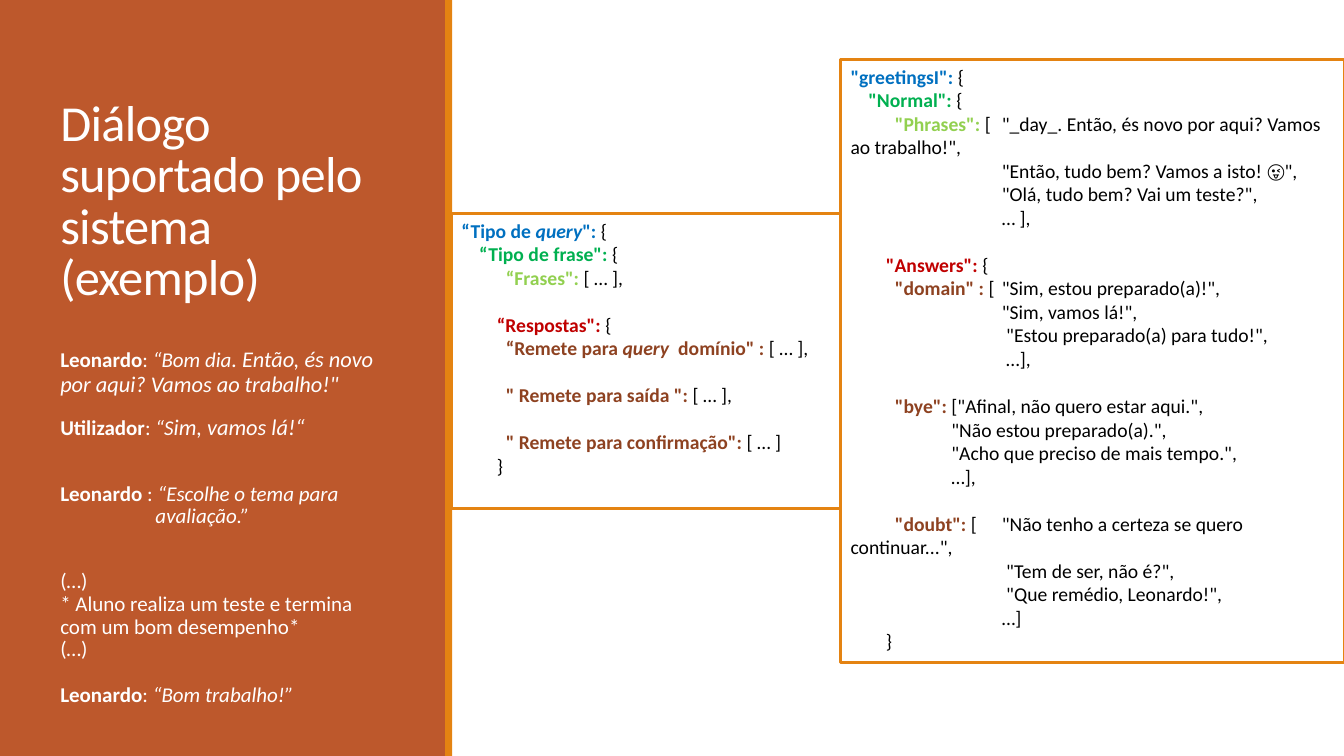
from dataclasses import dataclass

from pptx import Presentation
from pptx.dml.color import RGBColor
from pptx.enum.shapes import MSO_SHAPE
from pptx.enum.text import MSO_ANCHOR, MSO_AUTO_SIZE, PP_ALIGN
from pptx.oxml.ns import qn
from pptx.util import Pt
from lxml import etree

RECTANGLE = MSO_SHAPE.RECTANGLE
TOP, BOTTOM = MSO_ANCHOR.TOP, MSO_ANCHOR.BOTTOM
LEFT = PP_ALIGN.LEFT
NO_AUTO_SIZE = MSO_AUTO_SIZE.NONE

FONT = "Calibri"
WHITE, BLACK, RUST, ORANGE = "FFFFFF", "000000", "BD582C", "E48312"
BLUE, GREEN, LIME, RED, BROWN = "0070C0", "00B050", "92D050", "C00000", "8E4221"

CODE_SIZE, DIALOGUE_SIZE, TITLE_SIZE = 14, 15, 36
CODE_GAP = 16.8        # one empty line of code
DIALOGUE_LINE = 16.2   # one empty line of dialogue
TURN_GAP = 14          # between two turns of the dialogue
LEVEL_1, LEVEL_2, LEVEL_3 = 12.7, 25.3, 31.7
BYE_COLUMN, PHRASE_COLUMN, SHIFTED_COLUMN = 72, 108, 111.2


@dataclass(frozen=True)
class Run:
    """A stretch of text in one format."""
    text: str
    color: str = BLACK
    bold: bool = False
    italic: bool = False
    size: float = CODE_SIZE


@dataclass(frozen=True)
class Line:
    """A paragraph: its runs, indents and the gap above it."""
    runs: tuple[Run, ...]
    first: float = 0
    margin: float = 0
    gap: float = 0
    tab: float = 0


@dataclass(frozen=True)
class Box:
    """A place on the slide."""
    left: float
    top: float
    width: float
    height: float


def rgb(color: str) -> RGBColor:
    """Turn a hex string into a colour."""
    return RGBColor.from_string(color)


def add_rectangle(slide, box: Box, fill: str, outline: str = ""):
    """Draw a flat rectangle, with an outline if a colour is given."""
    shape = slide.shapes.add_shape(
        RECTANGLE, Pt(box.left), Pt(box.top), Pt(box.width), Pt(box.height))
    shape.shadow.inherit = False
    shape.fill.solid()
    shape.fill.fore_color.rgb = rgb(fill)
    if outline:
        shape.line.color.rgb = rgb(outline)
        shape.line.width = Pt(2.25)
    else:
        shape.line.fill.background()
    return shape


def add_text_box(slide, box: Box):
    """Add an empty text box."""
    return slide.shapes.add_textbox(
        Pt(box.left), Pt(box.top), Pt(box.width), Pt(box.height))


def write_lines(shape, lines: list[Line], *, anchor=TOP, spacing: float = 1,
                tracking: float = 0) -> None:
    """Fill a shape with formatted paragraphs."""
    frame = shape.text_frame
    frame.word_wrap = True
    frame.auto_size = NO_AUTO_SIZE
    frame.vertical_anchor = anchor
    for index, line in enumerate(lines):
        paragraph = frame.add_paragraph() if index else frame.paragraphs[0]
        paragraph.alignment = LEFT
        paragraph.line_spacing = spacing
        paragraph.space_before = Pt(line.gap)
        paragraph.space_after = Pt(0)
        set_indent(paragraph, line)
        for part in line.runs:
            run = paragraph.add_run()
            run.text = part.text
            font = run.font
            font.name, font.size = FONT, Pt(part.size)
            font.bold, font.italic = part.bold, part.italic
            font.color.rgb = rgb(part.color)
            if tracking:
                run._r.get_or_add_rPr().set("spc", str(round(tracking * 100)))


def set_indent(paragraph, line: Line) -> None:
    """Set the left margin, first-line indent and tab stop of a paragraph."""
    properties = paragraph._p.get_or_add_pPr()
    properties.set("marL", str(Pt(line.margin)))
    properties.set("indent", str(Pt(line.first - line.margin)))
    if line.tab:
        stops = etree.SubElement(properties, qn("a:tabLst"))
        etree.SubElement(stops, qn("a:tab"), pos=str(Pt(line.tab)), algn="l")


def entry(key: str, value: str, color: str, indent: float = 0,
          gap: float = 0, tab: float = 0) -> Line:
    """A code line with a coloured key; text between asterisks is italic."""
    keys = tuple(Run(piece, color, bold=True, italic=number % 2 == 1)
                 for number, piece in enumerate(key.split("*")))
    return Line(keys + (Run(value),), first=indent, gap=gap, tab=tab)


def values(column: float, *texts: str) -> list[Line]:
    """Code lines that hold only values, aligned to a column."""
    return [Line((Run(text),), first=column, margin=column) for text in texts]


def said(text: str, size: float = DIALOGUE_SIZE) -> Run:
    """Words spoken in the dialogue."""
    return Run(text, WHITE, italic=True, size=size)


def turn(speaker: str, colon: str, *words: Run, gap: float = TURN_GAP,
         margin: float = 0) -> Line:
    """A turn of the dialogue, led by the speaker's name."""
    name = Run(speaker, WHITE, bold=True, size=DIALOGUE_SIZE)
    mark = Run(colon, WHITE, size=DIALOGUE_SIZE)
    return Line((name, mark) + words, gap=gap, margin=margin)


def aside(text: str, gap: float = 0) -> Line:
    """A plain remark between turns."""
    return Line((Run(text, WHITE, size=DIALOGUE_SIZE),), gap=gap)


TITLE = [Line((Run("Diálogo suportado pelo sistema (exemplo)", WHITE, size=TITLE_SIZE),))]
DIALOGUE = [
    turn("Leonardo", ": ", said("“Bom dia"),
         said(". Então, és novo por aqui? Vamos ao trabalho!\"", 16), gap=0),
    turn("Utilizador", ": ", said("“S"), said("im, vamos lá!“", 16)),
    turn("Leonardo", " : ", said("“Escolhe o tema para avaliação.”"),
         gap=TURN_GAP + DIALOGUE_LINE, margin=68),
    aside("(…)", gap=TURN_GAP + DIALOGUE_LINE),
    aside("* Aluno realiza um teste e termina com um bom desempenho*"),
    aside("(…)"),
    turn("Leonardo", ": ", said("“Bom trabalho!”"), gap=DIALOGUE_LINE),
]
GREETINGS = [
    entry('"greetingsI": ', "{", BLUE),
    entry('"Normal": ', "{", GREEN, LEVEL_1),
    entry('"Phrases": ', '[\t"_day_. Então, és novo por aqui? Vamos ao trabalho!",',
          LIME, LEVEL_3, tab=PHRASE_COLUMN),
    *values(PHRASE_COLUMN, '"Então, tudo bem? Vamos a isto! 😜",',
            '"Olá, tudo bem? Vai um teste?",', "… ],"),
    entry('"Answers": ', "{", RED, LEVEL_2, CODE_GAP),
    entry('"domain" : ', '[\t"Sim, estou preparado(a)!",', BROWN, LEVEL_3,
          tab=PHRASE_COLUMN),
    *values(PHRASE_COLUMN, '"Sim, vamos lá!",'),
    *values(SHIFTED_COLUMN, '"Estou preparado(a) para tudo!",', "…],"),
    entry('"bye": ', '["Afinal, não quero estar aqui.",', BROWN, LEVEL_3, CODE_GAP),
    *values(BYE_COLUMN, '"Não estou preparado(a).",',
            '"Acho que preciso de mais tempo.",', "…],"),
    entry('"doubt": ', '[\t"Não tenho a certeza se quero continuar...",', BROWN,
          LEVEL_3, CODE_GAP, PHRASE_COLUMN),
    *values(SHIFTED_COLUMN, '"Tem de ser, não é?",', '"Que remédio, Leonardo!",'),
    *values(PHRASE_COLUMN, "…]"),
    *values(LEVEL_2, "}"),
]
SCHEMA = [
    entry('“Tipo de *query*": ', "{", BLUE),
    entry('“Tipo de frase": ', "{", GREEN, LEVEL_1),
    entry('“Frases": ', "[ … ],", LIME, LEVEL_3),
    entry('“Respostas": ', "{", RED, LEVEL_2, CODE_GAP),
    entry('“Remete para *query * domínio" : ', "[ … ],", BROWN, LEVEL_3),
    entry('" Remete para saída ": ', "[ … ],", BROWN, LEVEL_3, CODE_GAP),
    entry('" Remete para confirmação": ', "[ … ]", BROWN, LEVEL_3, CODE_GAP),
    *values(LEVEL_2, "}"),
]

presentation = Presentation()
presentation.slide_width, presentation.slide_height = Pt(960), Pt(540)
slide = presentation.slides.add_slide(presentation.slide_layouts[6])

add_rectangle(slide, Box(0, 0, 319, 540), RUST)
add_rectangle(slide, Box(318, 0, 5, 540), ORANGE)
write_lines(add_text_box(slide, Box(36, 42, 252, 180)), TITLE,
            anchor=BOTTOM, spacing=0.85, tracking=-0.5)
write_lines(add_text_box(slide, Box(36, 245.5, 252, 266.5)), DIALOGUE, spacing=0.9)
for box, lines in ((Box(600.5, 42.5, 360, 431), GREETINGS),
                   (Box(322.5, 152.5, 278, 211), SCHEMA)):
    write_lines(add_rectangle(slide, box, WHITE, ORANGE), lines)

presentation.save("out.pptx")
